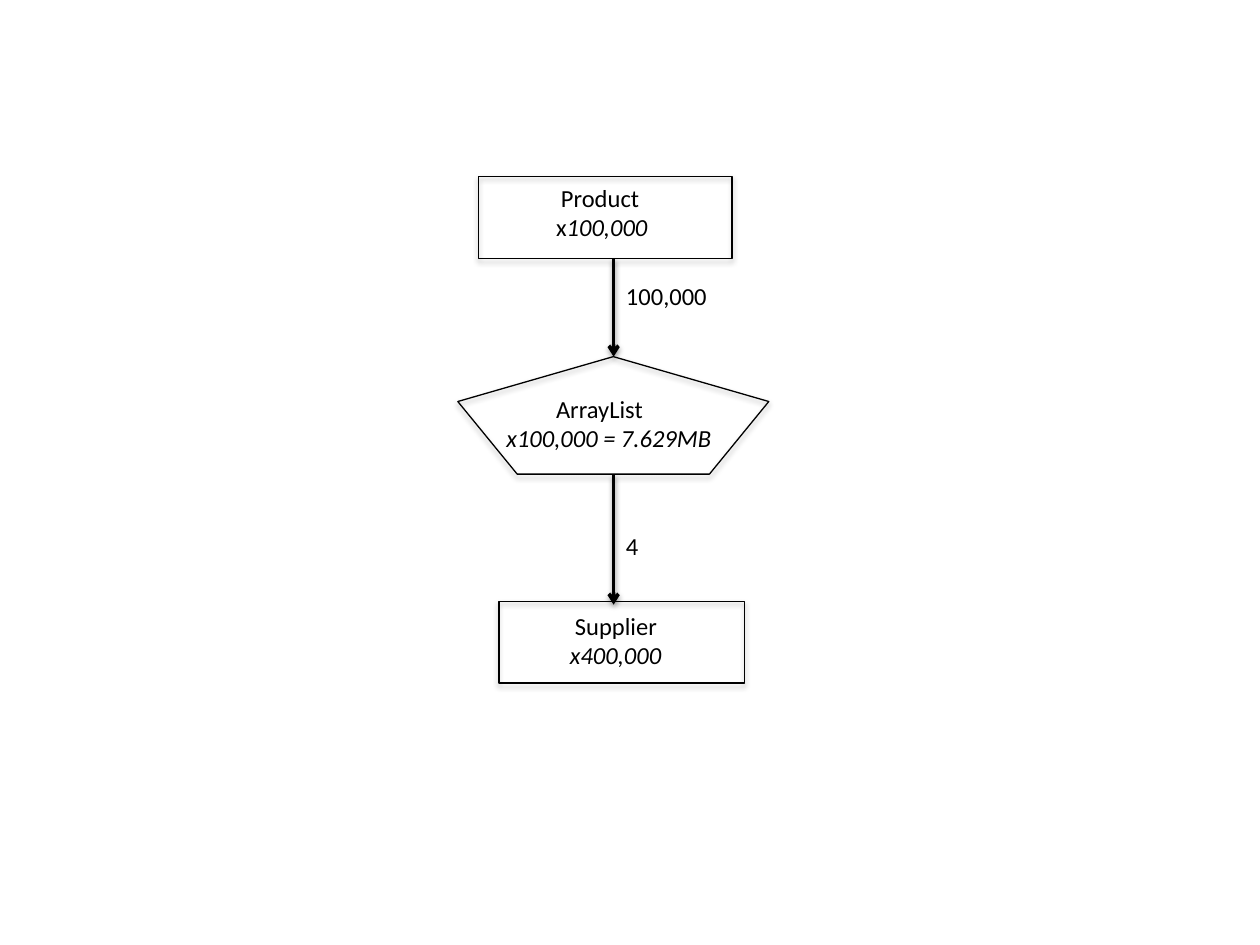
from lxml import etree
from pptx import Presentation
from pptx import util as u
from pptx.dml import color
from pptx.enum import dml, shapes, text
from pptx.oxml import ns

COLORS = {"ink": "000000"}
INK = color.RGBColor.from_string(COLORS["ink"])


def add_shadow(shape, distance, opacity):
    """Give a shape a soft black shadow falling straight down."""
    effects = etree.SubElement(shape._element.spPr, ns.qn("a:effectLst"))
    shadow = etree.SubElement(
        effects, ns.qn("a:outerShdw"), blurRad=str(u.Pt(3.1)),
        dist=str(u.Pt(distance)), dir="5400000", rotWithShape="0")
    shade = etree.SubElement(shadow, ns.qn("a:srgbClr"), val=COLORS["ink"])
    etree.SubElement(shade, ns.qn("a:alpha"), val=str(opacity * 1000))


def add_text(left, top, width, height, lines):
    """Each line is (indent in cm, [(words, italic), ...])."""
    box = slide.shapes.add_textbox(u.Cm(left), u.Cm(top), u.Cm(width), u.Cm(height))
    frame = box.text_frame
    frame.word_wrap = True
    frame.auto_size = text.MSO_AUTO_SIZE.SHAPE_TO_FIT_TEXT
    for index, (indent, runs) in enumerate(lines):
        paragraph = frame.add_paragraph() if index else frame.paragraphs[0]
        paragraph._p.get_or_add_pPr().set("marL", str(u.Cm(indent)))
        for words, italic in runs:
            run = paragraph.add_run()
            run.text = words
            run.font.name = "Calibri"
            run.font.size = u.Pt(14)
            run.font.italic = italic
            run.font.color.rgb = INK


presentation = Presentation()
presentation.slide_width = u.Cm(25.4)
presentation.slide_height = u.Cm(19.05)
slide = presentation.slides.add_slide(presentation.slide_layouts[6])

# Outlines: list, supplier, product
RECTANGLE = shapes.MSO_SHAPE.RECTANGLE
for kind, left, top, width, height in [
    (shapes.MSO_SHAPE.REGULAR_PENTAGON, 9.23, 7.19, 6.27, 2.37),
    (RECTANGLE, 10.06, 12.12, 4.95, 1.65),
    (RECTANGLE, 9.65, 3.56, 5.11, 1.65),
]:
    shape = slide.shapes.add_shape(kind, u.Cm(left), u.Cm(top), u.Cm(width), u.Cm(height))
    shape.fill.background()
    shape.line.color.rgb = INK
    shape.line.width = u.Pt(0.75)
    add_shadow(shape, 1.8, 35)

# Arrows down the middle
AXIS = 12.37
for start, end in [(5.21, 7.19), (9.57, 12.19)]:
    arrow = slide.shapes.add_connector(
        shapes.MSO_CONNECTOR.STRAIGHT, u.Cm(AXIS), u.Cm(start), u.Cm(AXIS), u.Cm(end))
    arrow.line.color.rgb = INK
    arrow.line.width = u.Pt(2)
    arrow.line.dash_style = dml.MSO_LINE.SOLID
    etree.SubElement(arrow.line._get_or_add_ln(), ns.qn("a:tailEnd"), type="arrow")
    add_shadow(arrow, 1.6, 38)

# Node names and counts
add_text(10.06, 3.56, 4, 1.45, [
    (1, [("Product", False)]), (0.9, [("x", False), ("100,000", True)])])
add_text(9.96, 7.82, 4.9, 1.45, [
    (1, [("ArrayList", False)]), (0, [("x100,000 = 7.629MB", True)])])
add_text(10.34, 12.19, 4.09, 1.45, [
    (1, [("Supplier", False)]), (0.9, [("x400,000", True)])])

# Arrow labels
add_text(AXIS, 5.54, 2.2, 0.86, [(0, [("100,000", False)])])
add_text(AXIS, 10.59, 0.8, 0.86, [(0, [("4", False)])])

presentation.save("out.pptx")
